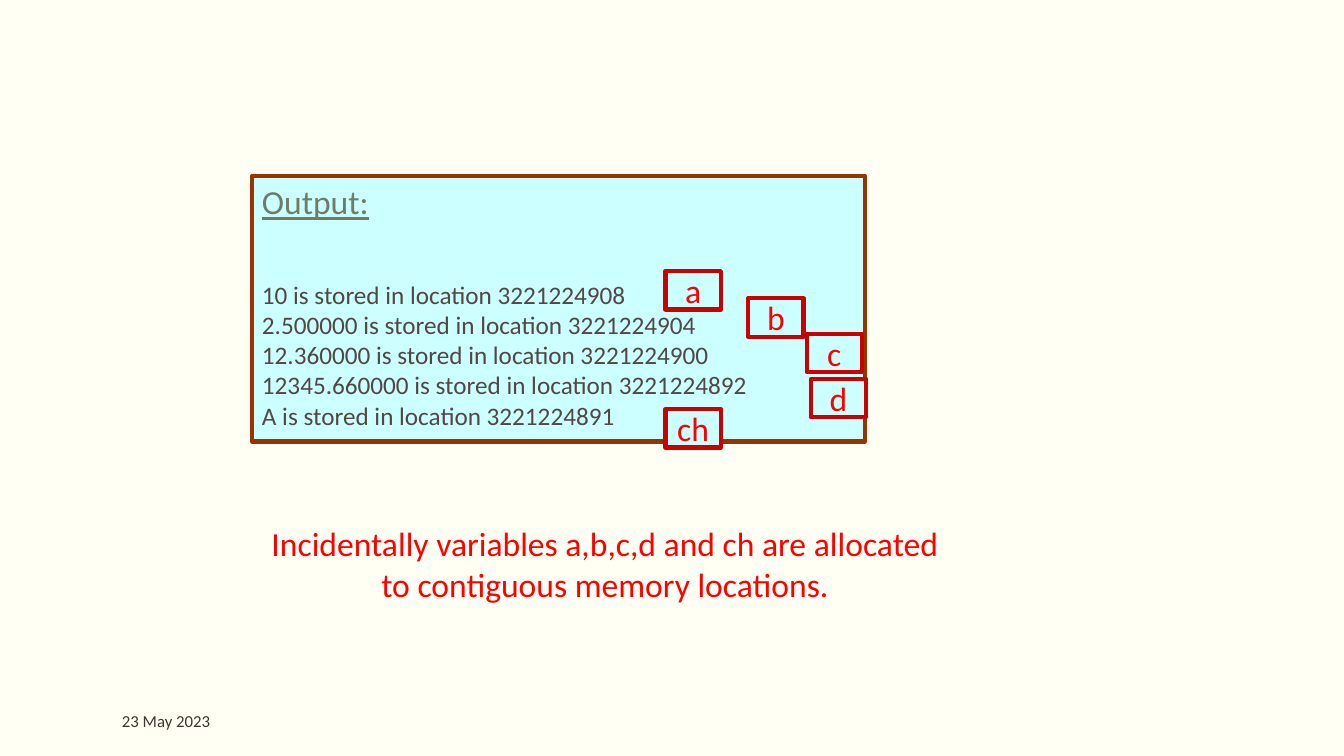
from pptx import Presentation
from pptx.dml.color import RGBColor
from pptx.enum.shapes import MSO_SHAPE
from pptx.enum.text import MSO_ANCHOR, PP_ALIGN
from pptx.util import Inches, Pt

FONT = "Calibri"
BACKGROUND, PANEL, BROWN = "FFFFF3", "CCFFFF", "993300"
RED, DARK_RED = "FF0000", "CC0000"
HEADING, BODY, DATE_INK = "6D7D66", "514843", "3D3632"

DATE = "23 May 2023"
TITLE = "Output:"
OUTPUT = [
    "10 is stored in location 3221224908",
    "2.500000 is stored in location 3221224904",
    "12.360000 is stored in location 3221224900",
    "12345.660000 is stored in location 3221224892",
    "A is stored in location 3221224891",
]
NOTE = [
    "Incidentally variables a,b,c,d and ch are allocated",
    "to contiguous memory locations.",
]
TAG_SIZE = (0.55, 0.38)
TAGS = {  # variable: left, top in inches
    "a": (6.6, 2.69),
    "b": (7.42, 2.96),
    "c": (8, 3.31),
    "d": (8.04, 3.76),
    "ch": (6.6, 4.06),
}


def color(value):
    return RGBColor.from_string(value)


def add_text(tf, text, size=24, ink=RED, align=PP_ALIGN.LEFT, underline=False, before=0):
    """Add one paragraph, filling the first one while it is still empty."""
    p = tf.paragraphs[0] if not tf.text else tf.add_paragraph()
    p.alignment = align
    p.space_before = Pt(before)
    r = p.add_run()
    r.text = text
    r.font.name, r.font.size = FONT, Pt(size)
    r.font.underline = underline
    r.font.color.rgb = color(ink)


def add_frame(slide, box, outline=None, anchor=MSO_ANCHOR.TOP, wrap=True):
    """Add a text box, or a filled rectangle if outlined; return its text frame."""
    box = [Inches(v) for v in box]
    if outline:
        s = slide.shapes.add_shape(MSO_SHAPE.RECTANGLE, *box)
        s.shadow.inherit = False
        s.fill.solid()
        s.fill.fore_color.rgb = color(PANEL)
        s.line.color.rgb = color(outline)
        s.line.width = Pt(3)
    else:
        s = slide.shapes.add_textbox(*box)
    tf = s.text_frame
    tf.word_wrap = wrap
    tf.vertical_anchor = anchor
    return tf


def main():
    prs = Presentation()
    prs.slide_width, prs.slide_height = Inches(13.33), Inches(7.5)
    slide = prs.slides.add_slide(prs.slide_layouts[6])
    slide.background.fill.solid()
    slide.background.fill.fore_color.rgb = color(BACKGROUND)

    tf = add_frame(slide, (1.21, 6.95, 2, 0.4), anchor=MSO_ANCHOR.MIDDLE)
    tf.margin_left = tf.margin_right = 0
    add_text(tf, DATE, size=12, ink=DATE_INK)

    tf = add_frame(slide, (2.5, 1.75, 6.08, 2.63), outline=BROWN)
    add_text(tf, TITLE, ink=HEADING, underline=True)
    for i, line in enumerate(OUTPUT):
        add_text(tf, line, size=18, ink=BODY, before=0 if i else 41)

    tf = add_frame(slide, (2.22, 5.14, 7.56, 0.91), wrap=False)
    for line in NOTE:
        add_text(tf, line, align=PP_ALIGN.CENTER)

    for name, corner in TAGS.items():
        tf = add_frame(slide, corner + TAG_SIZE, outline=DARK_RED,
                       anchor=MSO_ANCHOR.MIDDLE, wrap=False)
        add_text(tf, name, align=PP_ALIGN.CENTER)

    prs.save("out.pptx")


if __name__ == "__main__":
    main()
